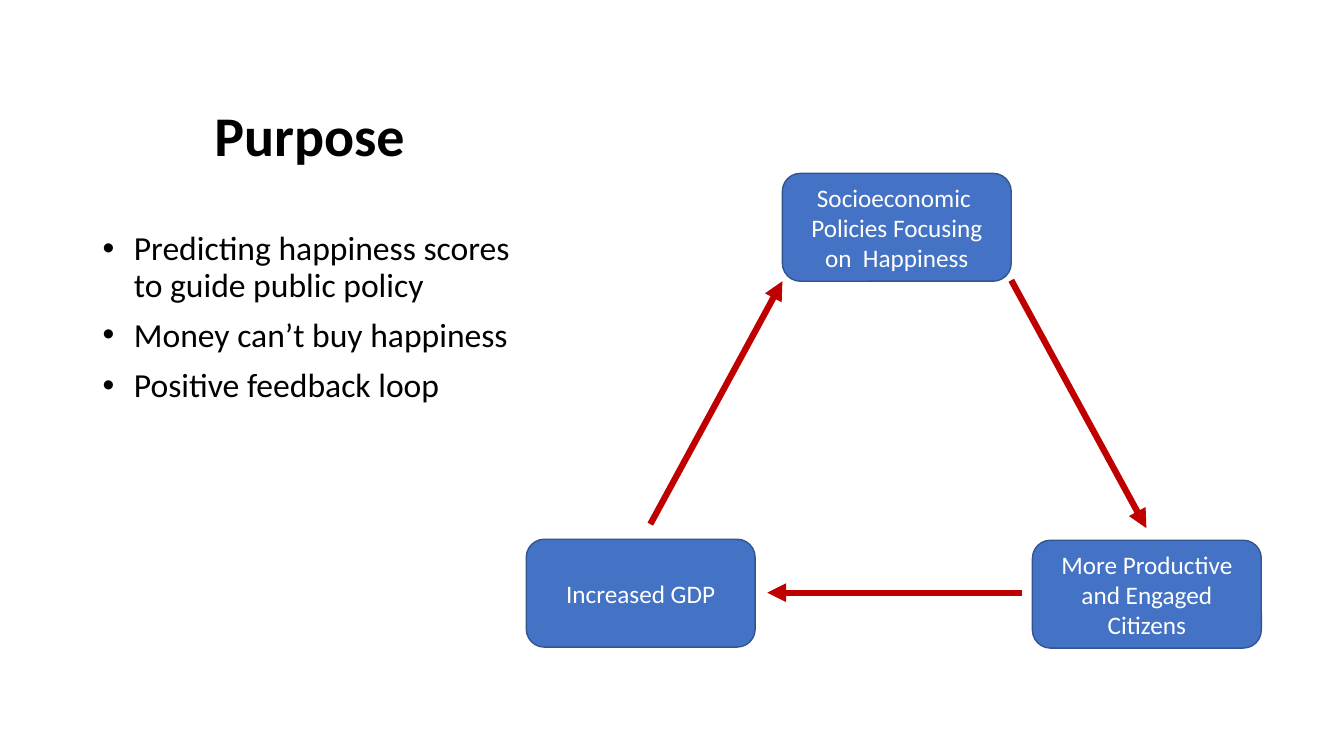
from lxml.etree import SubElement
from pptx import Presentation
from pptx.dml.color import RGBColor
from pptx.enum.shapes import MSO_CONNECTOR as Connector, MSO_SHAPE as Preset
from pptx.enum.text import MSO_ANCHOR as Anchor, PP_ALIGN as Align
from pptx.oxml.ns import qn
from pptx.util import Inches, Pt

COLORS = {"text": "000000", "box": "4472C4", "outline": "325491",
          "arrow": "C00000", "label": "FFFFFF"}
FONT = "Calibri"
TITLE = "Purpose"
BULLETS = ["Predicting happiness scores to guide public policy",
           "Money can’t buy happiness",
           "Positive feedback loop"]
COLUMN_LEFT, COLUMN_WIDTH = 0.92, 4.3
BOX_WIDTH, BOX_HEIGHT = 2.27, 1.07
BOXES = [("Socioeconomic  Policies Focusing on  Happiness", 7.76, 1.72),
         ("More Productive and Engaged Citizens", 10.24, 5.36),
         ("Increased GDP", 5.22, 5.35)]
ARROWS = [((10.03, 2.78), (11.37, 5.24)),
          ((10.14, 5.88), (7.61, 5.88)),
          ((6.45, 5.2), (7.76, 2.79))]


def color(name):
    return RGBColor.from_string(COLORS[name])


def write(shape, *texts, size, tone="text", bold=False, align=Align.CENTER,
          anchor=Anchor.MIDDLE, line_spacing=None, space_before=0, bullet=None):
    frame = shape.text_frame
    frame.word_wrap = True
    frame.vertical_anchor = anchor
    for index, text in enumerate(texts):
        paragraph = frame.add_paragraph() if index else frame.paragraphs[0]
        paragraph.alignment = align
        paragraph.line_spacing = line_spacing
        paragraph.space_before = Pt(space_before)
        if bullet:
            properties = paragraph._p.get_or_add_pPr()
            indent = Inches(0.31)
            properties.set("marL", str(indent))
            properties.set("indent", str(-indent))
            SubElement(properties, qn("a:buFont"), typeface="Arial")
            SubElement(properties, qn("a:buChar"), char=bullet)
        run = paragraph.add_run()
        run.text = text
        run.font.name = FONT
        run.font.size = Pt(size)
        run.font.bold = bold
        run.font.color.rgb = color(tone)


def add_box(slide, text, left, top):
    box = slide.shapes.add_shape(Preset.ROUNDED_RECTANGLE, Inches(left), Inches(top),
                                 Inches(BOX_WIDTH), Inches(BOX_HEIGHT))
    box.shadow.inherit = False
    box.fill.solid()
    box.fill.fore_color.rgb = color("box")
    box.line.color.rgb = color("outline")
    box.line.width = Pt(1)
    write(box, text, size=18, tone="label")


def add_arrow(slide, start, end):
    points = [Inches(value) for value in start + end]
    arrow = slide.shapes.add_connector(Connector.STRAIGHT, *points)
    arrow.line.color.rgb = color("arrow")
    arrow.line.width = Pt(4.5)
    SubElement(arrow.line._get_or_add_ln(), qn("a:tailEnd"), type="triangle")
    SubElement(arrow._element.spPr, qn("a:effectLst"))


presentation = Presentation()
presentation.slide_width = Inches(13.33)
presentation.slide_height = Inches(7.5)
slide = presentation.slides.add_slide(presentation.slide_layouts[5])

title = slide.shapes.title
title.left, title.top = Inches(COLUMN_LEFT), Inches(0.5)
title.width, title.height = Inches(COLUMN_WIDTH), Inches(1.75)
write(title, TITLE, size=40, bold=True, line_spacing=0.9)

body = slide.shapes.add_textbox(Inches(COLUMN_LEFT), Inches(2.25),
                                Inches(COLUMN_WIDTH), Inches(4.17))
write(body, *BULLETS, size=24, align=Align.LEFT, anchor=Anchor.TOP,
      line_spacing=0.9, space_before=10, bullet="•")

for text, left, top in BOXES:
    add_box(slide, text, left, top)
for start, end in ARROWS:
    add_arrow(slide, start, end)

presentation.save("out.pptx")
